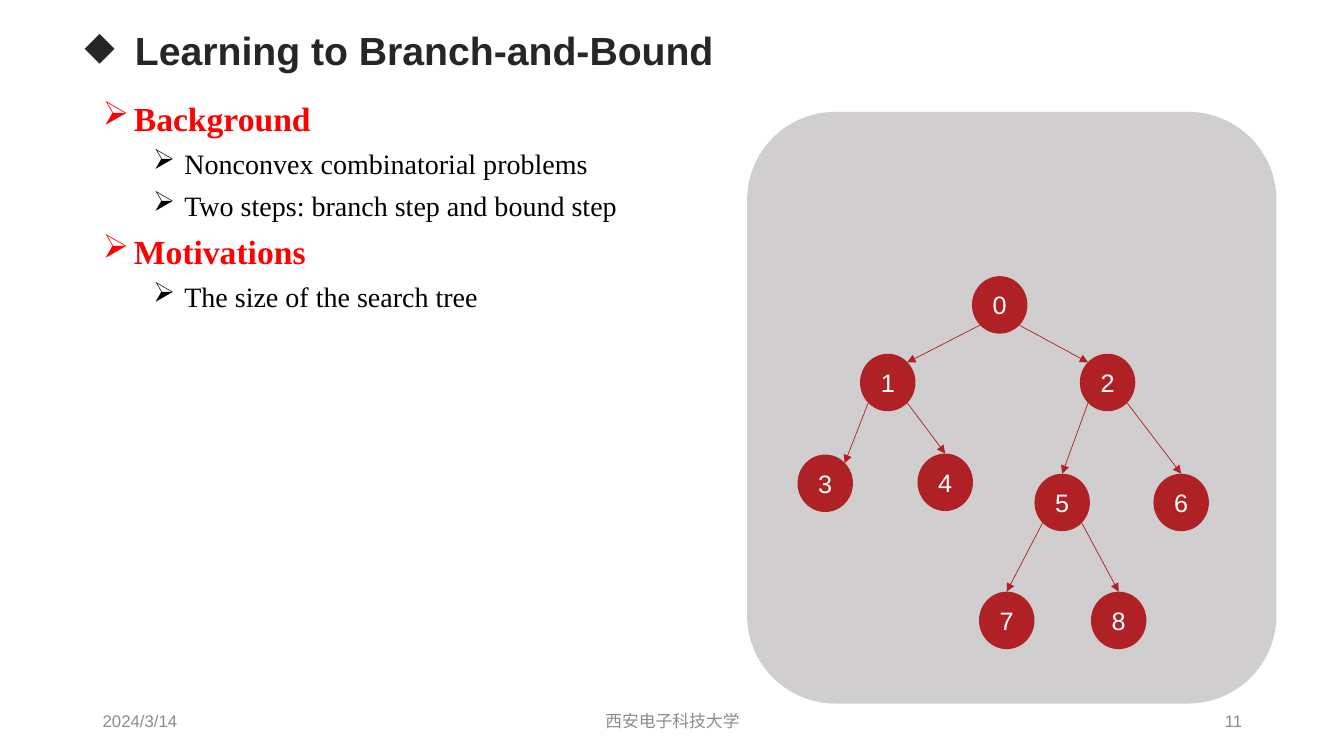
from typing import NamedTuple

from lxml import etree
from pptx import Presentation
from pptx.dml.color import RGBColor
from pptx.enum import shapes, text
from pptx.oxml import ns
from pptx.util import Inches, Pt

RED, PANEL_GREY, FOOTER_GREY = "AF2125", "D0CECE", "8C8C8C"
NODE_WIDTH, NODE_HEIGHT = 0.55, 0.57
DIAGONAL = 0.35  # reach of a 45° point on an ellipse, as a share of its size


class Node(NamedTuple):
    left: float
    top: float


class Site(NamedTuple):
    """A point on a node, as shares of its width and height."""
    x: float
    y: float


class Edge(NamedTuple):
    parent: int
    start: Site
    child: int
    end: Site


class Footer(NamedTuple):
    wording: str
    left: float
    width: float
    align: text.PP_ALIGN


class Point(NamedTuple):
    wording: str
    level: int


class PointStyle(NamedTuple):
    size: float
    color: str
    bold: bool
    indent: float


TOP = Site(0.5, 0)
TOP_LEFT = Site(0.5 - DIAGONAL, 0.5 - DIAGONAL)
TOP_RIGHT = Site(0.5 + DIAGONAL, 0.5 - DIAGONAL)
LOWER_LEFT = Site(0.5 - DIAGONAL, 0.5 + DIAGONAL)
LOWER_RIGHT = Site(0.5 + DIAGONAL, 0.5 + DIAGONAL)

NODES = [
    Node(9.64, 2.74),
    Node(8.53, 3.51), Node(10.71, 3.51),
    Node(7.91, 4.51), Node(9.1, 4.5), Node(10.26, 4.7), Node(11.44, 4.7),
    Node(9.71, 5.87), Node(10.82, 5.87),
]
EDGES = [
    Edge(0, LOWER_LEFT, 1, TOP_RIGHT), Edge(0, LOWER_RIGHT, 2, TOP_LEFT),
    Edge(1, LOWER_LEFT, 3, TOP_RIGHT), Edge(1, LOWER_RIGHT, 4, TOP),
    Edge(2, LOWER_LEFT, 5, TOP), Edge(2, LOWER_RIGHT, 6, TOP),
    Edge(5, LOWER_LEFT, 7, TOP), Edge(5, LOWER_RIGHT, 8, TOP),
]
FOOTERS = [
    Footer("2024/3/14", 0.92, 3, text.PP_ALIGN.LEFT),
    Footer("西安电子科技大学", 4.42, 4.5, text.PP_ALIGN.CENTER),
    Footer("11", 9.42, 3, text.PP_ALIGN.RIGHT),
]
POINTS = [
    Point("Background", 0),
    Point("Nonconvex combinatorial problems", 1),
    Point("Two steps: branch step and bound step", 1),
    Point("Motivations", 0),
    Point("The size of the search tree", 1),
]
POINT_STYLES = [
    PointStyle(24, "FF0000", True, 0.31),
    PointStyle(20, "000000", False, 0.81),
]


def rgb(color: str) -> RGBColor:
    return RGBColor.from_string(color)


def set_font(paragraph, name: str, size: float, color: str, bold: bool = False) -> None:
    font = paragraph.font
    font.name, font.size, font.bold = name, Pt(size), bold
    font.color.rgb = rgb(color)


def add_bullet(paragraph, symbol: str, indent: float, hanging: float) -> None:
    properties = paragraph._p.get_or_add_pPr()
    properties.set("marL", str(Inches(indent)))
    properties.set("indent", str(-Inches(hanging)))
    etree.SubElement(properties, ns.qn("a:buChar")).set("char", symbol)


def add_frame(slide, left: float, top: float, width: float, height: float,
              anchor: text.MSO_ANCHOR):
    box = slide.shapes.add_textbox(Inches(left), Inches(top), Inches(width), Inches(height))
    frame = box.text_frame
    frame.word_wrap = True
    frame.vertical_anchor = anchor
    return frame


def add_filled(slide, preset: shapes.MSO_SHAPE, left: float, top: float,
               width: float, height: float, color: str):
    shape = slide.shapes.add_shape(
        preset, Inches(left), Inches(top), Inches(width), Inches(height))
    shape.shadow.inherit = False
    shape.fill.solid()
    shape.fill.fore_color.rgb = rgb(color)
    shape.line.fill.background()
    return shape


def add_footer(slide, footer: Footer) -> None:
    frame = add_frame(slide, footer.left, 6.95, footer.width, 0.4, text.MSO_ANCHOR.MIDDLE)
    paragraph = frame.paragraphs[0]
    paragraph.text = footer.wording
    paragraph.alignment = footer.align
    set_font(paragraph, "Arial", 12, FOOTER_GREY)


def add_title(slide, wording: str) -> None:
    title = add_frame(slide, 0.74, 0.24, 11.5, 0.57, text.MSO_ANCHOR.MIDDLE).paragraphs[0]
    title.text = wording
    title.line_spacing = 0.9
    add_bullet(title, "◆", 0.5, 0.5)
    set_font(title, "Arial", 28, "262626", bold=True)


def add_outline(slide, points: list[Point]) -> None:
    frame = add_frame(slide, 0.92, 0.92, 6.4, 5.9, text.MSO_ANCHOR.TOP)
    for index, point in enumerate(points):
        paragraph = frame.add_paragraph() if index else frame.paragraphs[0]
        paragraph.text = point.wording
        paragraph.level = point.level
        if index:
            paragraph.space_before = Pt(6)
        style = POINT_STYLES[point.level]
        add_bullet(paragraph, "➢", style.indent, 0.31)
        set_font(paragraph, "Times New Roman", style.size, style.color, style.bold)


def add_node(slide, number: int, node: Node) -> None:
    circle = add_filled(slide, shapes.MSO_SHAPE.OVAL, node.left, node.top,
                        NODE_WIDTH, NODE_HEIGHT, RED)
    frame = circle.text_frame
    frame.vertical_anchor = text.MSO_ANCHOR.MIDDLE
    label = frame.paragraphs[0]
    label.text = str(number)
    label.alignment = text.PP_ALIGN.CENTER
    set_font(label, "Arial", 18, "FFFFFF")


def site_position(node: Node, site: Site) -> tuple[int, int]:
    return (Inches(node.left + site.x * NODE_WIDTH),
            Inches(node.top + site.y * NODE_HEIGHT))


def add_edge(slide, edge: Edge) -> None:
    arrow = slide.shapes.add_connector(
        shapes.MSO_CONNECTOR.STRAIGHT,
        *site_position(NODES[edge.parent], edge.start),
        *site_position(NODES[edge.child], edge.end))
    arrow.line.color.rgb = rgb(RED)
    arrow.line.width = Pt(0.5)
    etree.SubElement(arrow.line._get_or_add_ln(), ns.qn("a:tailEnd")).set("type", "triangle")
    etree.SubElement(arrow._element.spPr, ns.qn("a:effectLst"))


def main() -> None:
    deck = Presentation()
    deck.slide_width, deck.slide_height = Inches(13.33), Inches(7.5)
    slide = deck.slides.add_slide(deck.slide_layouts[6])
    for footer in FOOTERS:
        add_footer(slide, footer)
    add_title(slide, "Learning to Branch-and-Bound")
    add_outline(slide, POINTS)
    add_filled(slide, shapes.MSO_SHAPE.ROUNDED_RECTANGLE, 7.41, 1.11, 5.25, 5.87, PANEL_GREY)
    for number, node in enumerate(NODES):
        add_node(slide, number, node)
    for edge in EDGES:
        add_edge(slide, edge)
    deck.save("out.pptx")


if __name__ == "__main__":
    main()
